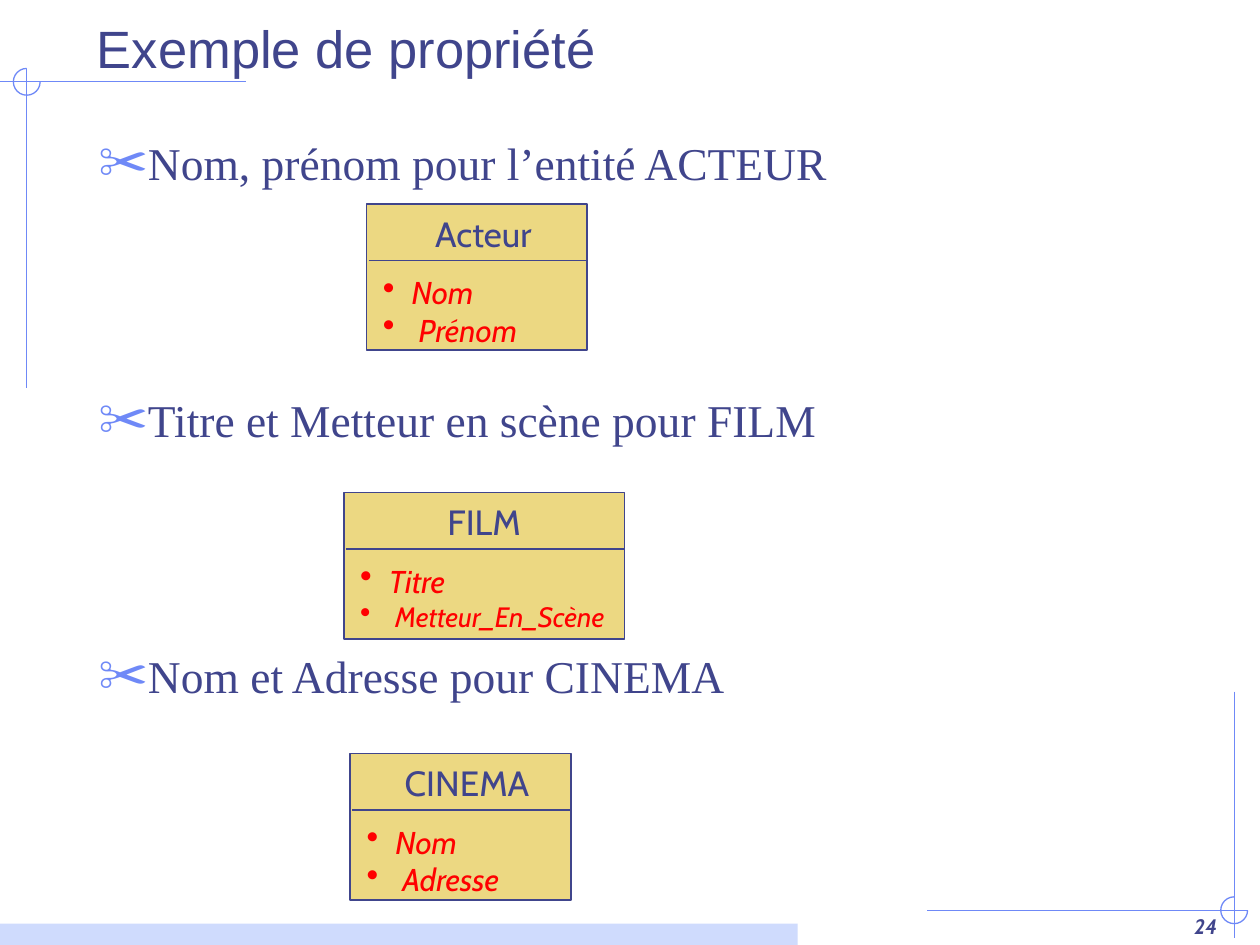
from lxml import etree
from pptx import Presentation
from pptx.dml.color import RGBColor
from pptx.enum.shapes import MSO_CONNECTOR, MSO_SHAPE
from pptx.enum.text import MSO_ANCHOR, MSO_AUTO_SIZE, PP_ALIGN
from pptx.oxml.ns import qn
from pptx.util import Cm, Pt

INDIGO = RGBColor(0x40, 0x45, 0x8C)
PERIWINKLE = RGBColor(0x6F, 0x89, 0xF7)
PALE_BLUE = RGBColor(0xCF, 0xDB, 0xFD)
SAND = RGBColor(0xEC, 0xD8, 0x82)
RED = RGBColor(0xFF, 0x00, 0x00)

LEFT, CENTER, RIGHT = PP_ALIGN.LEFT, PP_ALIGN.CENTER, PP_ALIGN.RIGHT
JUSTIFY = PP_ALIGN.JUSTIFY
TOP, BOTTOM = MSO_ANCHOR.TOP, MSO_ANCHOR.BOTTOM
NO_FIT = MSO_AUTO_SIZE.NONE
STRAIGHT = MSO_CONNECTOR.STRAIGHT
RECTANGLE, ARC = MSO_SHAPE.RECTANGLE, MSO_SHAPE.ARC

CARD_HEIGHT = 2.95
HEADER_HEIGHT = 1.14
CROSSHAIR_RADIUS = 0.27

STATEMENTS = [
    "Nom, prénom pour l’entité ACTEUR",
    "Titre et Metteur en scène pour FILM",
    "Nom et Adresse pour CINEMA",
]
ENTITIES = [
    ("Acteur", 7.39, 4.11, 4.45, 0.13, [("Nom", 18), (" Prénom", 18)]),
    ("FILM", 6.93, 9.93, 5.66, 0, [("Titre", 18), (" Metteur_En_Scène", 16)]),
    ("CINEMA", 7.06, 15.19, 4.45, 0.13, [("Nom", 18), (" Adresse", 18)]),
]


def place(shape, left, top, width, height):
    shape.left, shape.top = Cm(left), Cm(top)
    shape.width, shape.height = Cm(width), Cm(height)


def prepare_frame(shape, anchor):
    frame = shape.text_frame
    frame.word_wrap = True
    frame.auto_size = NO_FIT
    frame.vertical_anchor = anchor
    return frame


def style_paragraph(paragraph, font_name, size, color, align=LEFT, before=0):
    paragraph.alignment = align
    paragraph.space_before = Pt(before)
    font = paragraph.font
    font.name = font_name
    font.size = Pt(size)
    font.color.rgb = color
    return font


def add_bullet(paragraph, symbol, color, indent):
    properties = paragraph._p.get_or_add_pPr()
    properties.set("marL", str(Cm(indent)))
    properties.set("indent", str(-Cm(indent)))
    bullet_color = etree.SubElement(properties, qn("a:buClr"))
    etree.SubElement(bullet_color, qn("a:srgbClr"), val=str(color))
    etree.SubElement(properties, qn("a:buSzPct"), val="110000")
    etree.SubElement(properties, qn("a:buChar"), char=symbol)


def add_paragraphs(frame, texts):
    frame.text = "\n".join(texts)
    return frame.paragraphs


def add_text_box(slide, left, top, width, height, anchor=TOP):
    box = slide.shapes.add_textbox(Cm(left), Cm(top), Cm(width), Cm(height))
    return prepare_frame(box, anchor)


def add_line(slide, start, end, color, weight):
    line = slide.shapes.add_connector(STRAIGHT, *map(Cm, start + end))
    line.line.color.rgb = color
    line.line.width = Pt(weight)
    etree.SubElement(line._element.spPr, qn("a:effectLst"))


def add_rectangle(slide, left, top, width, height, fill):
    rectangle = slide.shapes.add_shape(
        RECTANGLE, Cm(left), Cm(top), Cm(width), Cm(height))
    rectangle.shadow.inherit = False
    rectangle.fill.solid()
    rectangle.fill.fore_color.rgb = fill
    rectangle.line.fill.background()
    return rectangle


def add_crosshair(slide, x, y, x_start, x_end, y_start, y_end):
    add_line(slide, (x_start, y), (x_end, y), PERIWINKLE, 0.75)
    add_line(slide, (x, y_start), (x, y_end), PERIWINKLE, 0.75)
    diameter = Cm(2 * CROSSHAIR_RADIUS)
    arc = slide.shapes.add_shape(
        ARC, Cm(x - CROSSHAIR_RADIUS), Cm(y - CROSSHAIR_RADIUS), diameter, diameter)
    arc.adjustments[0] = 0
    arc.adjustments[1] = 162
    arc.shadow.inherit = False
    arc.fill.background()
    arc.line.color.rgb = PERIWINKLE
    arc.line.width = Pt(0.75)


def fill_title(slide):
    title = slide.shapes.title
    place(title, 1.7, 0.03, 23.06, 1.7)
    heading, = add_paragraphs(prepare_frame(title, BOTTOM), ["Exemple de propriété"])
    style_paragraph(heading, "Arial", 30, INDIGO)


def fill_statements(slide):
    body = slide.placeholders[1]
    place(body, 1.73, 2.59, 20.32, 15.27)
    statements = add_paragraphs(prepare_frame(body, TOP), STATEMENTS)
    for index, statement in enumerate(statements):
        add_bullet(statement, "✂", PERIWINKLE, 0.97)
        before = 115.6 if index else 6.5
        style_paragraph(statement, "Times New Roman", 26, INDIGO, JUSTIFY, before)


def add_entity(slide, name, left, top, width, name_shift, attributes):
    card = add_rectangle(slide, left, top, width, CARD_HEIGHT, SAND)
    card.line.color.rgb = INDIGO
    card.line.width = Pt(1)
    divider = top + HEADER_HEIGHT
    add_line(slide, (left + 0.04, divider), (left + width, divider), INDIGO, 1)

    header = add_text_box(slide, left + name_shift, top + 0.04, width, 1.1)
    name_line, = add_paragraphs(header, [name])
    style_paragraph(name_line, "Cabin", 20, INDIGO, CENTER, 5)

    listing = add_text_box(slide, left + 0.08, divider + 0.13, width + 0.15, 1.78)
    lines = add_paragraphs(listing, [text for text, _ in attributes])
    for line, (_, size) in zip(lines, attributes):
        add_bullet(line, "•", RED, 0.58)
        style_paragraph(line, "Cabin", size, RED).italic = True


def add_page_number(slide):
    number, = add_paragraphs(add_text_box(slide, 19.51, 17.78, 5.28, 1.27, BOTTOM), ["24"])
    font = style_paragraph(number, "Cabin", 12, INDIGO, RIGHT)
    font.bold = font.italic = True


def main():
    presentation = Presentation()
    presentation.slide_width, presentation.slide_height = Cm(25.4), Cm(19.05)
    slide = presentation.slides.add_slide(presentation.slide_layouts[1])
    add_crosshair(slide, 0.54, 1.65, 0, 4.95, 1.4, 7.82)
    add_crosshair(slide, 24.88, 18.35, 18.69, 25.15, 13.94, 18.9)
    add_rectangle(slide, 0, 18.62, 16.08, 0.43, PALE_BLUE)
    add_page_number(slide)
    fill_title(slide)
    fill_statements(slide)
    for entity in ENTITIES:
        add_entity(slide, *entity)
    presentation.save("out.pptx")


if __name__ == "__main__":
    main()
